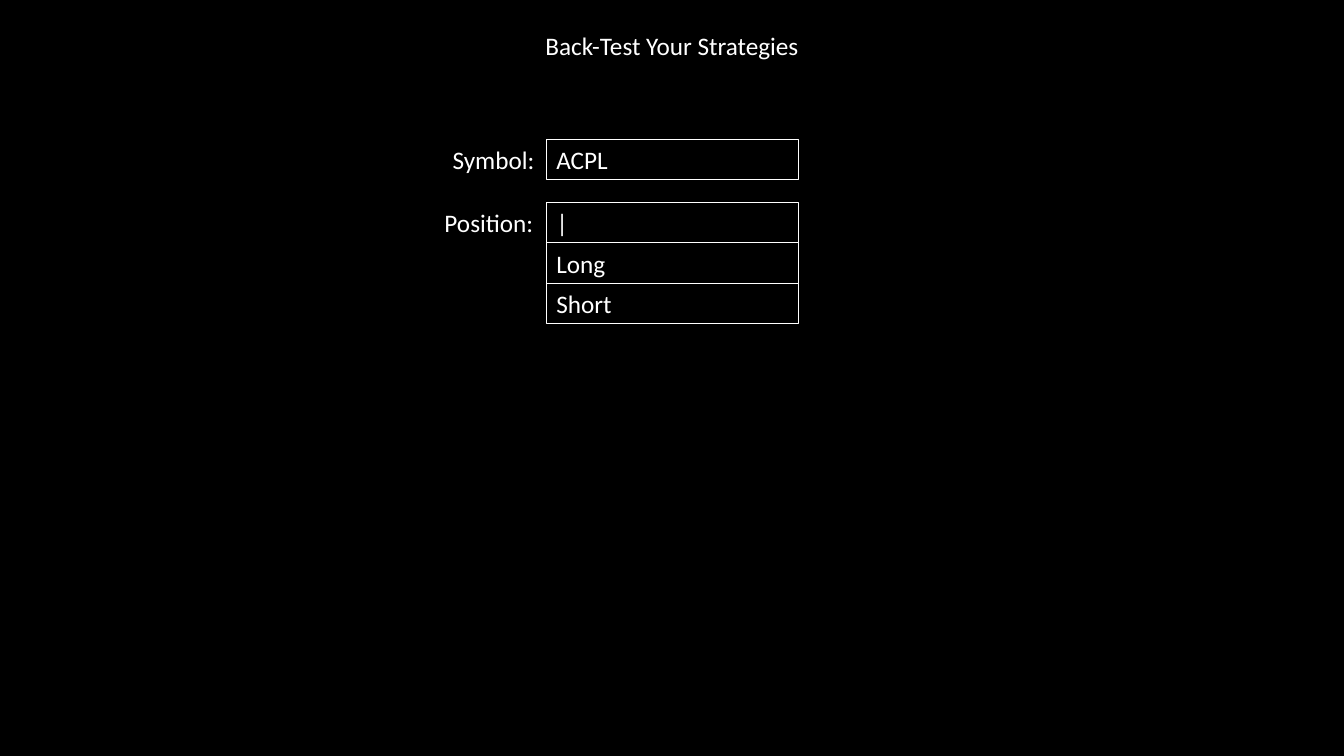
"""Build the back-test form slide with its symbol and position fields."""
from typing import NamedTuple

import pptx
import pptx.dml.color
import pptx.enum.shapes
import pptx.enum.text
import pptx.util

Inches = pptx.util.Inches
ALIGN = pptx.enum.text.PP_ALIGN
WHITE, BLACK = "FFFFFF", "000000"
FIELD_LEFT, FIELD_WIDTH, ROW_HEIGHT = 5.42, 2.5, 0.4
SYMBOL_TOP, POSITION_TOP = 1.38, 2.01


class Label(NamedTuple):
    text: str
    top: float
    width: float


class Field(NamedTuple):
    text: str
    top: float


LABELS = [Label("Symbol:", SYMBOL_TOP, 1.03), Label("Position:", POSITION_TOP, 1.11)]
FIELDS = [Field("ACPL", SYMBOL_TOP)] + [
    Field(text, POSITION_TOP + i * ROW_HEIGHT)
    for i, text in enumerate(["|", "Long", "Short"])
]


def rgb(value: str) -> pptx.dml.color.RGBColor:
    return pptx.dml.color.RGBColor.from_string(value)


def write(sp, text: str, align=ALIGN.LEFT) -> None:
    tf = sp.text_frame
    frame = {
        "word_wrap": True,
        "auto_size": pptx.enum.text.MSO_AUTO_SIZE.NONE,
        "vertical_anchor": pptx.enum.text.MSO_ANCHOR.TOP,
        "margin_left": Inches(0.1),
        "margin_right": Inches(0.1),
        "margin_top": Inches(0.05),
        "margin_bottom": Inches(0.05),
    }
    for name, value in frame.items():
        setattr(tf, name, value)
    p = tf.paragraphs[0]
    p.alignment = align
    r = p.add_run()
    r.text = text
    for name, value in {"name": "Calibri", "size": pptx.util.Pt(18)}.items():
        setattr(r.font, name, value)
    r.font.color.rgb = rgb(WHITE)


def add_title(s, text: str) -> None:
    sp = s.shapes.title
    box = {"left": 4.8, "top": 0.25, "width": 3.73, "height": ROW_HEIGHT}
    for name, value in box.items():
        setattr(sp, name, Inches(value))
    write(sp, text, ALIGN.CENTER)


def add_label(s, label: Label) -> None:
    sp = s.shapes.add_textbox(
        Inches(FIELD_LEFT - label.width), Inches(label.top),
        Inches(label.width), Inches(ROW_HEIGHT))
    write(sp, label.text)
    sp.text_frame.word_wrap = False


def add_field(s, field: Field) -> None:
    sp = s.shapes.add_shape(
        pptx.enum.shapes.MSO_SHAPE.RECTANGLE,
        Inches(FIELD_LEFT), Inches(field.top),
        Inches(FIELD_WIDTH), Inches(ROW_HEIGHT))
    sp.shadow.inherit = False
    sp.fill.background()
    sp.line.color.rgb = rgb(WHITE)
    sp.line.width = pptx.util.Pt(0.75)
    write(sp, field.text)


def main() -> None:
    prs = pptx.Presentation()
    prs.slide_width, prs.slide_height = Inches(13.33), Inches(7.5)
    s = prs.slides.add_slide(prs.slide_layouts.get_by_name("Title Only"))
    s.background.fill.solid()
    s.background.fill.fore_color.rgb = rgb(BLACK)
    add_title(s, "Back-Test Your Strategies")
    for label in LABELS:
        add_label(s, label)
    for field in FIELDS:
        add_field(s, field)
    prs.save("out.pptx")


if __name__ == "__main__":
    main()
